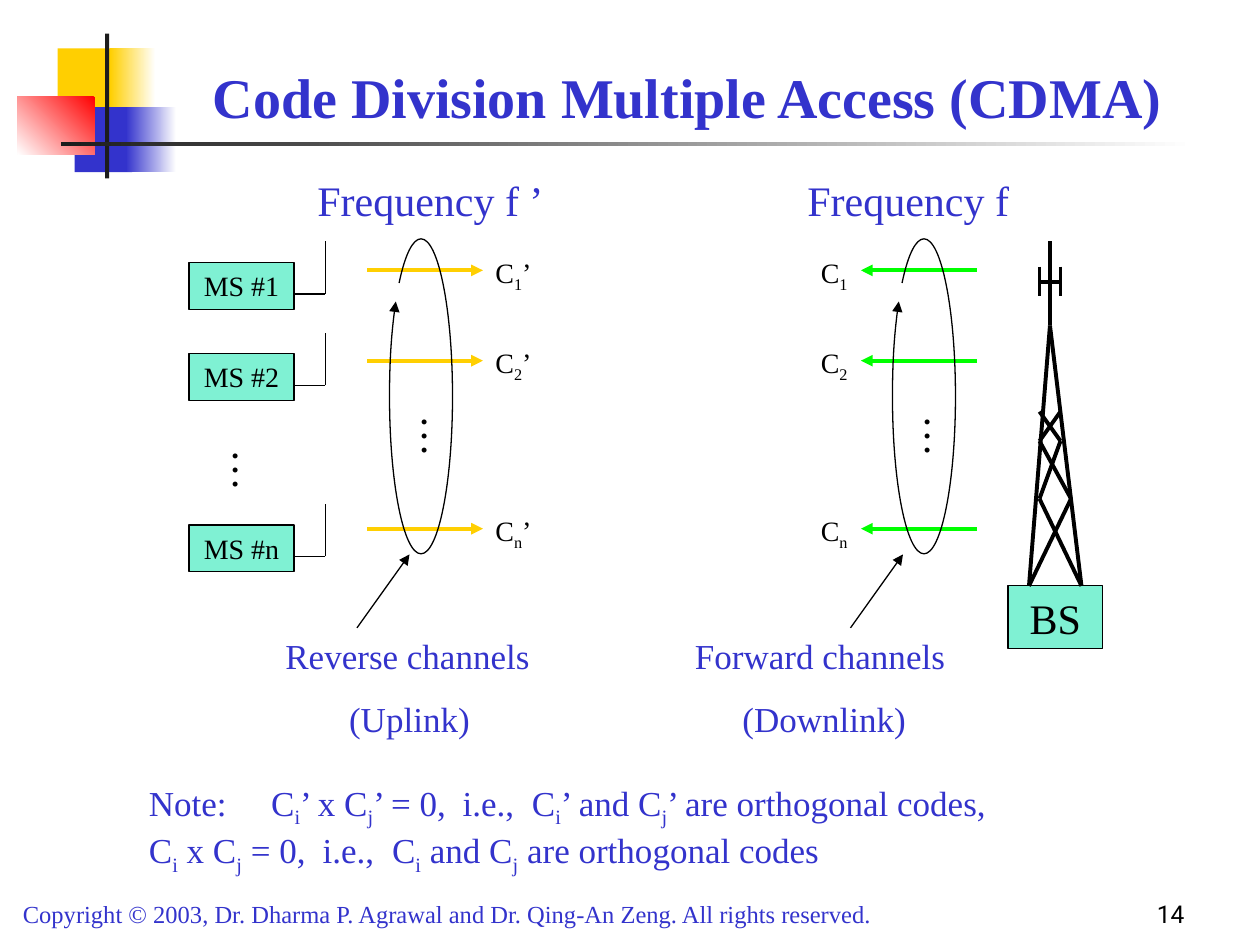
from math import cos, radians, sin, tan

from pptx import Presentation
from pptx.dml.color import RGBColor as Rgb
from pptx.enum.shapes import MSO_CONNECTOR as Conn, MSO_SHAPE as Kind
from pptx.enum.text import MSO_ANCHOR as Anchor, PP_ALIGN as Align
from pptx.oxml import parse_xml
from pptx.oxml.ns import nsdecls, qn
from pptx.util import Inches, Pt

BLUE = Rgb(0x33, 0x33, 0xCC)
GOLD = Rgb(0xFF, 0xCF, 0x01)
RED = Rgb(0xFF, 0x00, 0x00)
MINT = Rgb(0x00, 0xE4, 0xA8)
LIME = Rgb(0x00, 0xFF, 0x00)
COAL = Rgb(0x1C, 0x1C, 0x1C)
BLACK = Rgb(0x00, 0x00, 0x00)
WHITE = Rgb(0xFF, 0xFF, 0xFF)
COLS, ROWS = 120, 90


def node(tag, attrs=""):
    return parse_xml(f"<a:{tag} {nsdecls('a')} {attrs}/>")


def write(frame, text, size=16, color=BLACK, bold=False, font="Times New Roman",
          align=Align.LEFT, gap=0, tabs=()):
    """Add a paragraph; an underscore lowers the letter after it."""
    para = frame.paragraphs[0]
    if para.runs:
        para = frame.add_paragraph()
    para.alignment = align
    para.space_before = Pt(gap)
    if tabs:
        stops = node("tabLst")
        for stop in tabs:
            stops.append(node("tab", f'pos="{Inches(stop)}" algn="l"'))
        para._p.get_or_add_pPr().append(stops)
    for row, line in enumerate(text.split("\n")):
        if row:
            para.add_line_break()
        head, *rest = line.split("_")
        parts = [(head, False)]
        for part in rest:
            parts += [(part[0], True), (part[1:], False)]
        for part, low in parts:
            if not part:
                continue
            run = para.add_run()
            run.text = part
            run.font.size, run.font.bold, run.font.name = Pt(size), bold, font
            run.font.color.rgb = color
            if low:
                run._r.get_or_add_rPr().set("baseline", "-25000")


class Board:
    """Draw on one slide, with lengths in grid columns and rows."""

    def __init__(self, deck):
        self.slide = deck.slides.add_slide(deck.slide_layouts[6])
        self.shapes = self.slide.shapes
        self.col = deck.slide_width / COLS
        self.row = deck.slide_height / ROWS

    def spot(self, x, y):
        return round(x * self.col), round(y * self.row)

    def block(self, x, y, wide, high, fill, fade=None, angle=180):
        box = self.shapes.add_shape(Kind.RECTANGLE, *self.spot(x, y), *self.spot(wide, high))
        box.shadow.inherit = False
        box.line.fill.background()
        if fade is None:
            box.fill.solid()
            box.fill.fore_color.rgb = fill
        else:
            box.fill.gradient()
            box.fill.gradient_angle = angle
            for stop, color in zip(box.fill.gradient_stops, (fill, fade)):
                stop.color.rgb = color
        return box

    def node(self, x, y, wide, high, text, size=16):
        box = self.block(x, y, wide, high, MINT)
        tint = box._element.spPr.find(qn("a:solidFill"))[0]
        tint.append(node("alpha", 'val="50000"'))
        box.line.color.rgb = BLACK
        box.line.width = Pt(0.75)
        box.text_frame.word_wrap = False
        box.text_frame.vertical_anchor = Anchor.TOP
        write(box.text_frame, text, size, align=Align.CENTER)

    def text(self, x, y, wide, high, text="", turn=0, anchor=Anchor.TOP, **style):
        box = self.shapes.add_textbox(*self.spot(x, y), *self.spot(wide, high))
        box.rotation = turn
        frame = box.text_frame
        frame.word_wrap = True
        frame.vertical_anchor = anchor
        if text:
            write(frame, text, **style)
        return frame

    def ink(self, item, color, width, arrow):
        item.line.color.rgb = color
        item.line.width = Pt(width)
        if arrow:
            item.line._get_or_add_ln().append(node("tailEnd", 'type="triangle"'))

    def line(self, start, end, color=BLACK, width=0.75, arrow=False, group=None):
        home = group.shapes if group else self.shapes
        link = home.add_connector(Conn.STRAIGHT, *self.spot(*start), *self.spot(*end))
        self.ink(link, color, width, arrow)
        link._element.spPr.append(node("effectLst"))

    def loop(self, x, y, wide, high, turns):
        def dot(turn, pull=0):
            a = radians(turn)
            return self.spot(x + wide * (cos(a) - pull * sin(a)),
                             y + high * (sin(a) + pull * cos(a)))

        pen = self.shapes.build_freeform(*dot(turns[0]))
        for a, b in zip(turns, turns[1:]):
            pull = 4 / 3 * tan(radians(b - a) / 4)
            pen.add_line_segments([dot(a, pull), dot(b, -pull), dot(b)], close=False)
        ring = pen.convert_to_shape()
        legs = list(ring._element.iter(qn("a:lnTo")))
        for i in range(0, len(legs), 3):
            curve = node("cubicBezTo")
            legs[i].addprevious(curve)
            for leg in legs[i:i + 3]:
                curve.append(leg[0])
                leg.getparent().remove(leg)
        ring.shadow.inherit = False
        ring.fill.background()
        self.ink(ring, BLACK, 0.75, True)


def frame(board):
    board.block(5.5, 4.6, 5.8, 6.2, GOLD)
    board.block(10.5, 4.6, 4.3, 6.2, WHITE, GOLD)
    board.block(7.1, 10.2, 5.5, 6.2, BLUE)
    board.block(12, 10.2, 4.8, 6.2, WHITE, BLUE)
    board.block(1.65, 9.2, 7.4, 5.5, RED, WHITE, 225)
    board.block(10, 3.2, 0.4, 13.8, COAL)
    board.block(5.8, 13.55, 108, 0.4, WHITE, COAL)
    board.text(1, 85, 91, 4,
               "Copyright © 2003, Dr. Dharma P. Agrawal and Dr. Qing-An Zeng. All rights reserved.",
               size=14, color=BLUE)
    board.text(12, 3.9, 107, 9, "Code Division Multiple Access (CDMA)", anchor=Anchor.BOTTOM,
               size=32, color=BLUE, bold=True, align=Align.CENTER)
    board.text(89, 83, 25, 6, "14", anchor=Anchor.BOTTOM,
               size=14, font="Roboto", align=Align.RIGHT)


def phones(board):
    for name, y in (("1", 25), ("2", 33.7), ("n", 50)):
        board.node(18, y, 10, 4.46, f"MS #{name}")
        board.line((28, y + 3), (31, y + 3))
        board.line((31, y + 3), (31, y - 2))
    board.text(18, 42, 6, 6, "…", turn=270, size=24)


def links(board, tail, tip, label, mark, color, ring, foot, title, left, wide, names):
    for name, y in (("1", 25.75), ("2", 34.35), ("n", 50.35)):
        board.line((tail, y), (tip, y), color, 2.25, arrow=True)
        board.text(label, y - 2, 7, 5, f"C_{name}{mark}")
    board.text(ring - 4.1, 38.75, 6, 6, "…", turn=270, size=24)
    board.loop(ring, 37.75, 3, 15, (226, 270, 360, 450, 540, 577))
    heading, x = title
    board.text(x, 16, 24, 6, heading, size=24, color=BLUE, align=Align.CENTER)
    board.line((foot, 59.8), (foot + 5, 52.8), arrow=True)
    note = board.text(left, 59.8, wide, 11.3)
    write(note, names[0], 20, BLUE)
    write(note, names[1], 20, BLUE, align=Align.CENTER, gap=12.5)


def tower(board):
    board.node(96, 55.8, 9, 6, "BS", 24)
    mast = board.shapes.add_group_shape()
    top, left, right = (100, 31), (98, 55.8), (103, 55.8)
    bars = [(top, left), (top, right), (left, (102, 47.5)), (right, (99, 47.5)),
            ((99, 47.5), (101, 42)), ((102, 47.5), (99, 42)),
            ((99, 42), (101, 39.2)), ((101, 42), (99, 39.2)),
            (top, (100, 23)), ((99, 26.9), (101, 26.9))]
    bars += [((x, 25.4), (x, 28.2)) for x in (99, 101)]
    for start, end in bars:
        board.line(start, end, width=2.25, group=mast)


def main():
    deck = Presentation()
    deck.slide_width, deck.slide_height = Inches(10), Inches(7.5)
    board = Board(deck)
    frame(board)
    phones(board)
    links(board, 35, 46, 46, "’", GOLD, 40.1, 34, ("Frequency f ’", 29), 26, 26,
          ("Reverse channels", "(Uplink)"))
    links(board, 93, 82, 77, "", LIME, 88, 81, ("Frequency f", 74.5), 65, 27,
          ("Forward channels", "(Downlink)"))
    tower(board)
    board.text(13, 73.8, 102, 10.3,
               "Note:\tC_i’ x C_j’ = 0,\ti.e.,\tC_i’ and C_j’ are orthogonal codes,\n"
               "C_i x C_j = 0,\ti.e.,\tC_i and C_j are orthogonal codes",
               size=20, color=BLUE, tabs=(0.97, 1.38, 1.93, 2.49, 3.04))
    deck.save("out.pptx")


if __name__ == "__main__":
    main()
